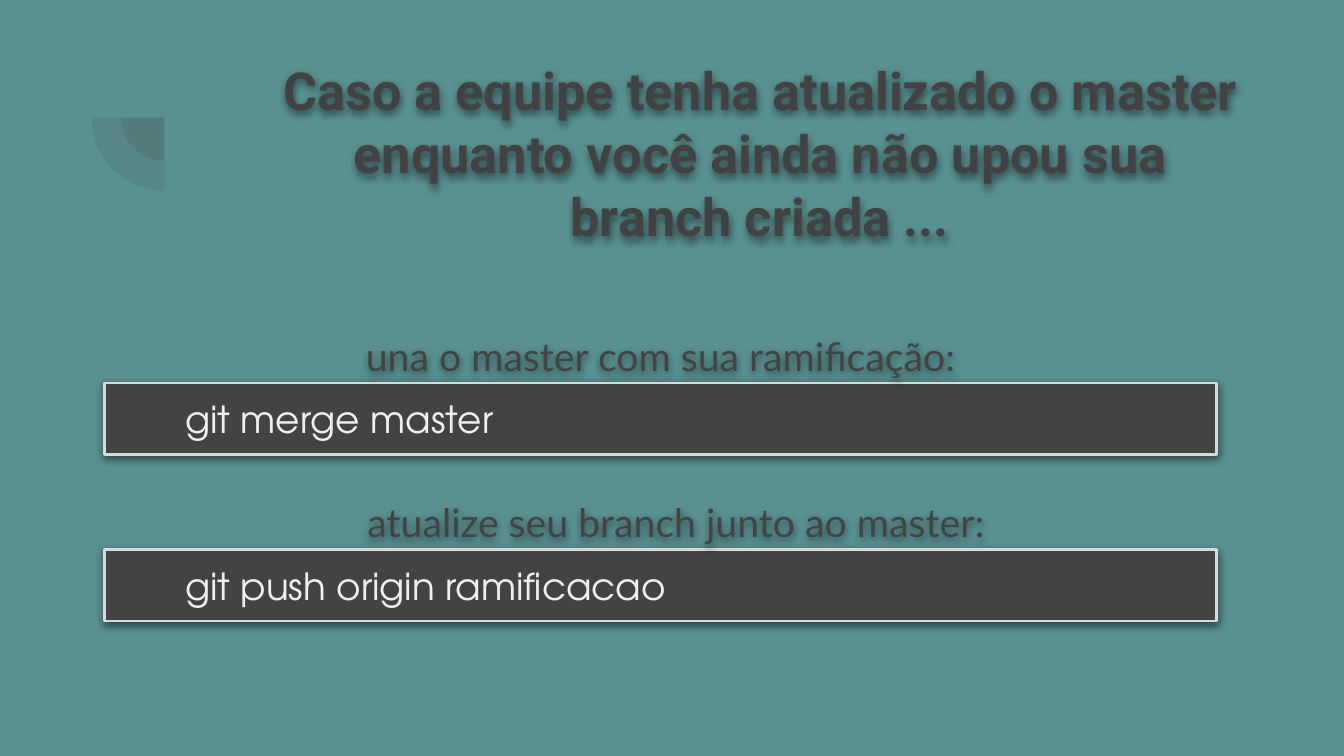
from lxml import etree
from pptx import Presentation
from pptx.dml.color import RGBColor
from pptx.enum.shapes import MSO_SHAPE
from pptx.enum.text import MSO_ANCHOR, PP_ALIGN
from pptx.oxml.ns import qn
from pptx.util import Cm, Pt

PIE, RECTANGLE = MSO_SHAPE.PIE, MSO_SHAPE.RECTANGLE
TOP, MIDDLE = MSO_ANCHOR.TOP, MSO_ANCHOR.MIDDLE
LEFT, CENTER = PP_ALIGN.LEFT, PP_ALIGN.CENTER

# Content
TITLE = ("Caso a equipe tenha atualizado o master enquanto você "
         "ainda não upou sua branch criada ...")
STEPS = [  # label, label width in cm, command
    ("una o master com sua ramificação:", 21.01, "git merge master"),
    ("atualize seu branch junto ao master:", 21.59, "git push origin ramificacao"),
]

# Style and layout, lengths in cm
COLORS = {"background": "599191", "title": "424242", "label": "434343",
          "bar": "434343", "border": "D9D9D9", "command": "EFEFEF",
          "pie": "424242", "shadow": "000000"}
PIE_CENTER, PIE_DIAMETERS = (3.11, 2.22), (1.65, 2.77)
STEP_LEFT, FIRST_BAR_TOP, STEP_PITCH = 1.98, 7.24, 3.15
BAR_WIDTH, BAR_HEIGHT = 21.01, 1.35


def color(name):
    return RGBColor.from_string(COLORS[name])


def add_alpha(color_element, percent):
    etree.SubElement(color_element, qn("a:alpha"), val=str(percent * 1000))


def add_shadow(shape):
    shape.shadow.inherit = False
    effects = shape._element.spPr.find(qn("a:effectLst"))
    shadow = etree.SubElement(effects, qn("a:outerShdw"), blurRad=str(Pt(4.5)),
                              dist=str(Pt(1.5)), dir="5400000", algn="bl",
                              rotWithShape="0")
    shade = etree.SubElement(shadow, qn("a:srgbClr"), val=COLORS["shadow"])
    add_alpha(shade, 50)


def write(box, text, font, size, color_name, align=CENTER, anchor=TOP, bold=False):
    frame = box.text_frame
    frame.word_wrap = True
    frame.vertical_anchor = anchor
    frame.margin_left = frame.margin_right = Cm(0.25)
    frame.margin_top = frame.margin_bottom = Cm(0.25)
    frame.text = text
    para = frame.paragraphs[0]
    para.alignment = align
    span = para.runs[0]
    span.font.name, span.font.size, span.font.bold = font, Pt(size), bold
    span.font.color.rgb = color(color_name)
    add_shadow(box)
    return para


deck = Presentation()
deck.slide_width, deck.slide_height = Cm(25.4), Cm(14.29)
page = deck.slides.add_slide(deck.slide_layouts[6])
page.background.fill.solid()
page.background.fill.fore_color.rgb = color("background")

# Concentric quarter circles
ornament = page.shapes.add_group_shape()
for diameter in PIE_DIAMETERS:
    left, top = (center - diameter / 2 for center in PIE_CENTER)
    pie = ornament.shapes.add_shape(PIE, Cm(left), Cm(top), Cm(diameter), Cm(diameter))
    pie.adjustments[0], pie.adjustments[1] = 108, 162
    pie.rotation = 270
    pie.fill.solid()
    pie.fill.fore_color.rgb = color("pie")
    add_alpha(pie._element.spPr.find(qn("a:solidFill"))[0], 13)
    pie.line.fill.background()
    pie.shadow.inherit = False

# Title
title = page.shapes.add_textbox(Cm(4.9), Cm(0.86), Cm(18.92), Cm(2.08))
write(title, TITLE, "Roboto", 28, "title", bold=True)

# Each step: a command bar with its label directly above
for index, (label_text, label_width, command) in enumerate(STEPS):
    bar_top = FIRST_BAR_TOP + index * STEP_PITCH
    bar = page.shapes.add_shape(RECTANGLE, Cm(STEP_LEFT), Cm(bar_top),
                                Cm(BAR_WIDTH), Cm(BAR_HEIGHT))
    bar.fill.solid()
    bar.fill.fore_color.rgb = color("bar")
    bar.line.color.rgb = color("border")
    bar.line.width = Pt(1.5)
    para = write(bar, command, "TeX Gyre Adventor", 20, "command", LEFT, MIDDLE)
    para._p.get_or_add_pPr().set("marL", str(Cm(1.27)))

    label = page.shapes.add_textbox(Cm(STEP_LEFT), Cm(bar_top - BAR_HEIGHT),
                                    Cm(label_width), Cm(BAR_HEIGHT))
    para = write(label, label_text, "Lato", 21, "label")
    para.line_spacing = 1.15
    para.space_after = Pt(16)

deck.save("out.pptx")
